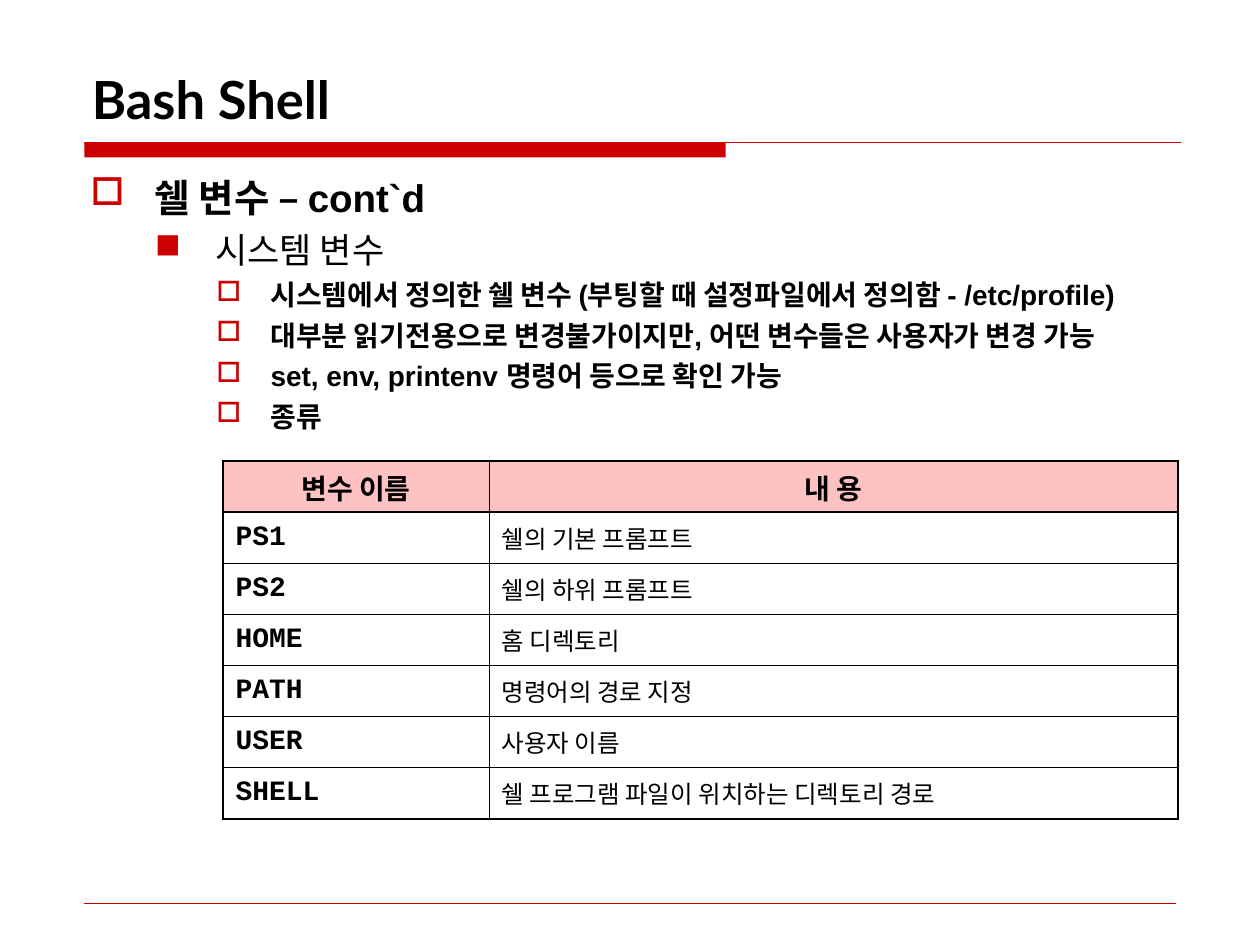
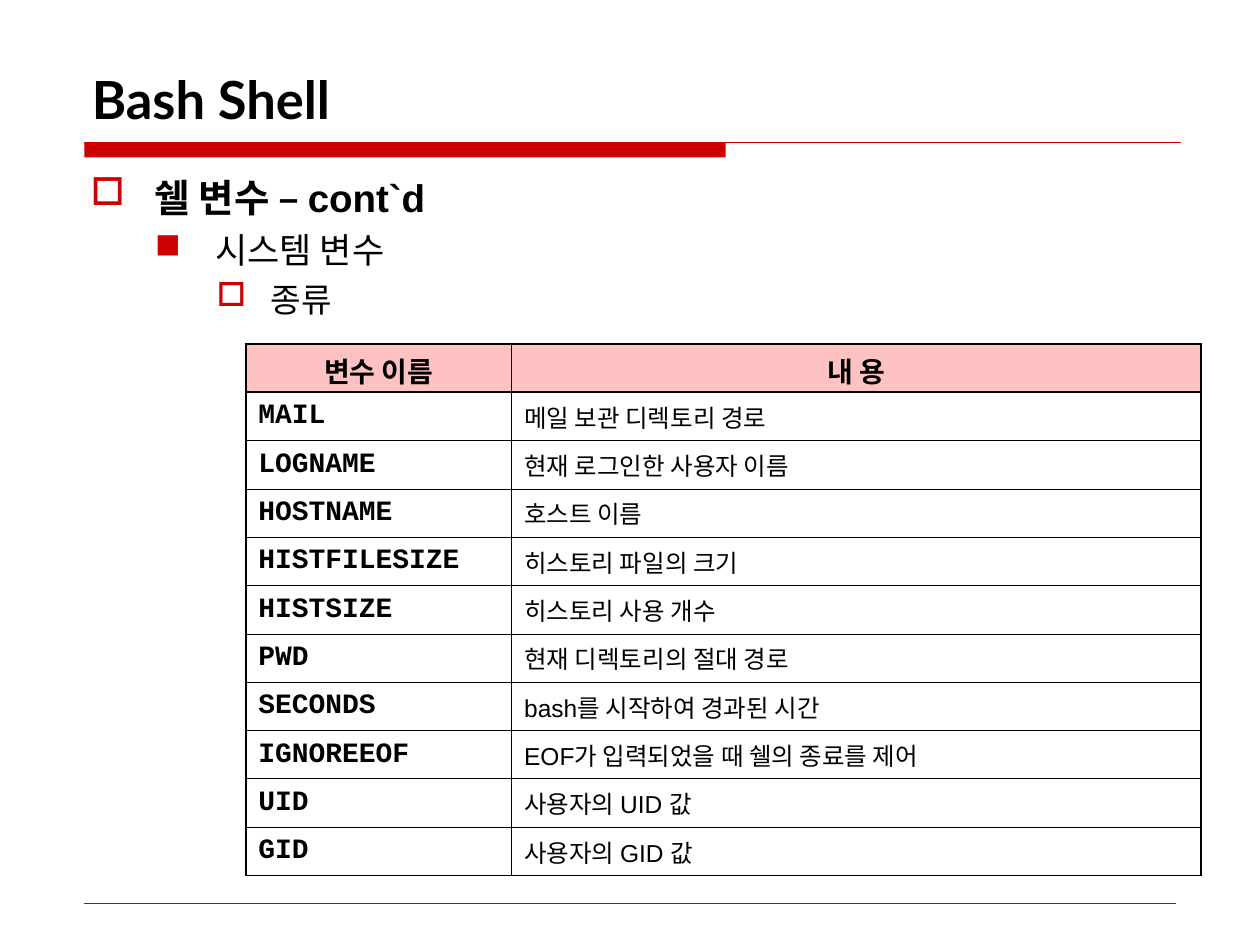
from pptx import Presentation
from pptx.dml.color import RGBColor
from pptx.enum.shapes import MSO_CONNECTOR as Conn, MSO_SHAPE as Shape
from pptx.enum.text import MSO_ANCHOR as Anchor, PP_ALIGN as Align
from pptx.oxml.ns import qn
from pptx.util import Inches, Pt
from lxml.etree import SubElement as Sub

RED = RGBColor(0xCC, 0x00, 0x00)
PINK = RGBColor(0xFF, 0xC2, 0xC2)
BLACK = RGBColor(0x00, 0x00, 0x00)

TITLE = "Bash Shell"
HEAD = ("변수 이름", "내 용")
COLS = (2.11, 5.47)
THICK, THIN = 1.08, 0.45

# Outline level: left margin, hanging indent, bullet (Wingdings square)
LEVELS = ((0.51, 0.51, "o"), (0.99, 0.48, "n"), (1.43, 0.43, "o"))

FONTS = {
    "title": {"name": "Lato", "size": Pt(30), "bold": True},
    "top": {"name": "Arial", "size": Pt(22), "bold": True},
    "sub": {"name": "Arial", "size": Pt(20), "bold": False},
    "item": {"name": "Arial", "size": Pt(16), "bold": True},
    "kind": {"name": "Arial", "size": Pt(19), "bold": False},
    "head": {"name": "Arial", "size": Pt(16), "bold": True},
    "var": {"name": "Courier New", "size": Pt(16), "bold": True},
    "note": {"name": "Arial", "size": Pt(14), "bold": False},
}

# Outline line: level, font, space before, text
TOPIC = [
    (0, "top", 0, "쉘 변수 – cont`d"),
    (1, "sub", 5, "시스템 변수"),
]

SLIDES = [
    {
        "lines": TOPIC + [
            (2, "item", 4, "시스템에서 정의한 쉘 변수 (부팅할 때 설정파일에서 정의함 - /etc/profile)"),
            (2, "item", 4, "대부분 읽기전용으로 변경불가이지만, 어떤 변수들은 사용자가 변경 가능"),
            (2, "item", 4, "set, env, printenv 명령어 등으로 확인 가능"),
            (2, "item", 4, "종류"),
        ],
        "width": 9.26,
        "table": (1.77, 3.66, 2.84),
        "vars": [
            ("PS1", "쉘의 기본 프롬프트"),
            ("PS2", "쉘의 하위 프롬프트"),
            ("HOME", "홈 디렉토리"),
            ("PATH", "명령어의 경로 지정"),
            ("USER", "사용자 이름"),
            ("SHELL", "쉘 프로그램 파일이 위치하는 디렉토리 경로"),
        ],
    },
    {
        "lines": TOPIC + [(2, "kind", 4.8, "종류")],
        "width": 8.75,
        "table": (1.95, 2.73, 4.22),
        "vars": [
            ("MAIL", "메일 보관 디렉토리 경로"),
            ("LOGNAME", "현재 로그인한 사용자 이름"),
            ("HOSTNAME", "호스트 이름"),
            ("HISTFILESIZE", "히스토리 파일의 크기"),
            ("HISTSIZE", "히스토리 사용 개수"),
            ("PWD", "현재 디렉토리의 절대 경로"),
            ("SECONDS", "bash를 시작하여 경과된 시간"),
            ("IGNOREEOF", "EOF가 입력되었을 때 쉘의 종료를 제어"),
            ("UID", "사용자의 UID 값"),
            ("GID", "사용자의 GID 값"),
        ],
    },
]


def write(para, text, style):
    run = para.add_run()
    run.text = text
    for key, val in FONTS[style].items():
        setattr(run.font, key, val)
    run.font.color.rgb = BLACK


def add_box(slide, *area):
    frame = slide.shapes.add_textbox(*map(Inches, area)).text_frame
    frame.word_wrap = True
    return frame


def add_rule(slide, left, right, top, width):
    line = slide.shapes.add_connector(
        Conn.STRAIGHT, *map(Inches, (left, top, right, top)))
    line.line.color.rgb = RED
    line.line.width = Pt(width)
    Sub(line._element.spPr, qn("a:effectLst"))


def add_frame(slide):
    """Draw the title, the red band under it and the footer rule."""
    band = slide.shapes.add_shape(
        Shape.RECTANGLE, *map(Inches, (0.67, 1.13, 5.09, 0.12)))
    band.shadow.inherit = False
    band.fill.solid()
    band.fill.fore_color.rgb = RED
    band.line.fill.background()
    add_rule(slide, 0.67, 9.37, 1.13, 0.75)
    add_rule(slide, 0.67, 9.33, 7.17, 0.25)
    frame = add_box(slide, 0.63, 0.33, 8.75, 0.75)
    frame.vertical_anchor = Anchor.BOTTOM
    write(frame.paragraphs[0], TITLE, "title")


def add_bullet(para, level):
    left, hang, char = LEVELS[level]
    para.level = level
    props = para._p.get_or_add_pPr()
    props.set("marL", str(Inches(left)))
    props.set("indent", str(-Inches(hang)))
    color = Sub(props, qn("a:buClr"))
    Sub(color, qn("a:srgbClr"), val=str(RED))
    Sub(props, qn("a:buFont"), typeface="Wingdings", charset="2")
    Sub(props, qn("a:buChar"), char=char)


def add_lines(slide, lines, width):
    frame = add_box(slide, 0.62, 1.33, width, 5.25)
    for i, (level, style, gap, text) in enumerate(lines):
        para = frame.add_paragraph() if i else frame.paragraphs[0]
        add_bullet(para, level)
        if gap:
            para.space_before = Pt(gap)
        write(para, text, style)


def add_edges(cell, widths):
    props = cell._tc.get_or_add_tcPr()
    for i, (side, width) in enumerate(widths.items()):
        line = props.makeelement(qn(f"a:ln{side}"), {"w": str(Pt(width))})
        fill = Sub(line, qn("a:solidFill"))
        Sub(fill, qn("a:srgbClr"), val=str(BLACK))
        props.insert(i, line)


def add_grid(slide, place, pairs):
    left, top, height = place
    rows = [HEAD] + pairs
    last = len(rows) - 1
    area = map(Inches, (left, top, sum(COLS), height))
    table = slide.shapes.add_table(len(rows), len(COLS), *area).table
    table.horz_banding = False
    for col, width in zip(table.columns, COLS):
        col.width = Inches(width)
    for r, row in enumerate(rows):
        table.rows[r].height = Inches(height / len(rows))
        for c, text in enumerate(row):
            cell = table.cell(r, c)
            para = cell.text_frame.paragraphs[0]
            if r == 0:
                cell.fill.solid()
                cell.fill.fore_color.rgb = PINK
                para.alignment = Align.CENTER
                write(para, text, "head")
            else:
                cell.fill.background()
                cell.vertical_anchor = Anchor.MIDDLE
                write(para, text, ("var", "note")[c])
            add_edges(cell, {
                "L": THIN if c else THICK,
                "R": THICK if c else THIN,
                "T": THICK if r < 2 else THIN,
                "B": THICK if r in (0, last) else THIN,
            })


def main():
    deck = Presentation()
    deck.slide_width, deck.slide_height = Inches(10), Inches(7.5)
    for page in SLIDES:
        slide = deck.slides.add_slide(deck.slide_layouts[6])
        add_frame(slide)
        add_lines(slide, page["lines"], page["width"])
        add_grid(slide, page["table"], page["vars"])
    deck.save("out.pptx")


if __name__ == "__main__":
    main()
